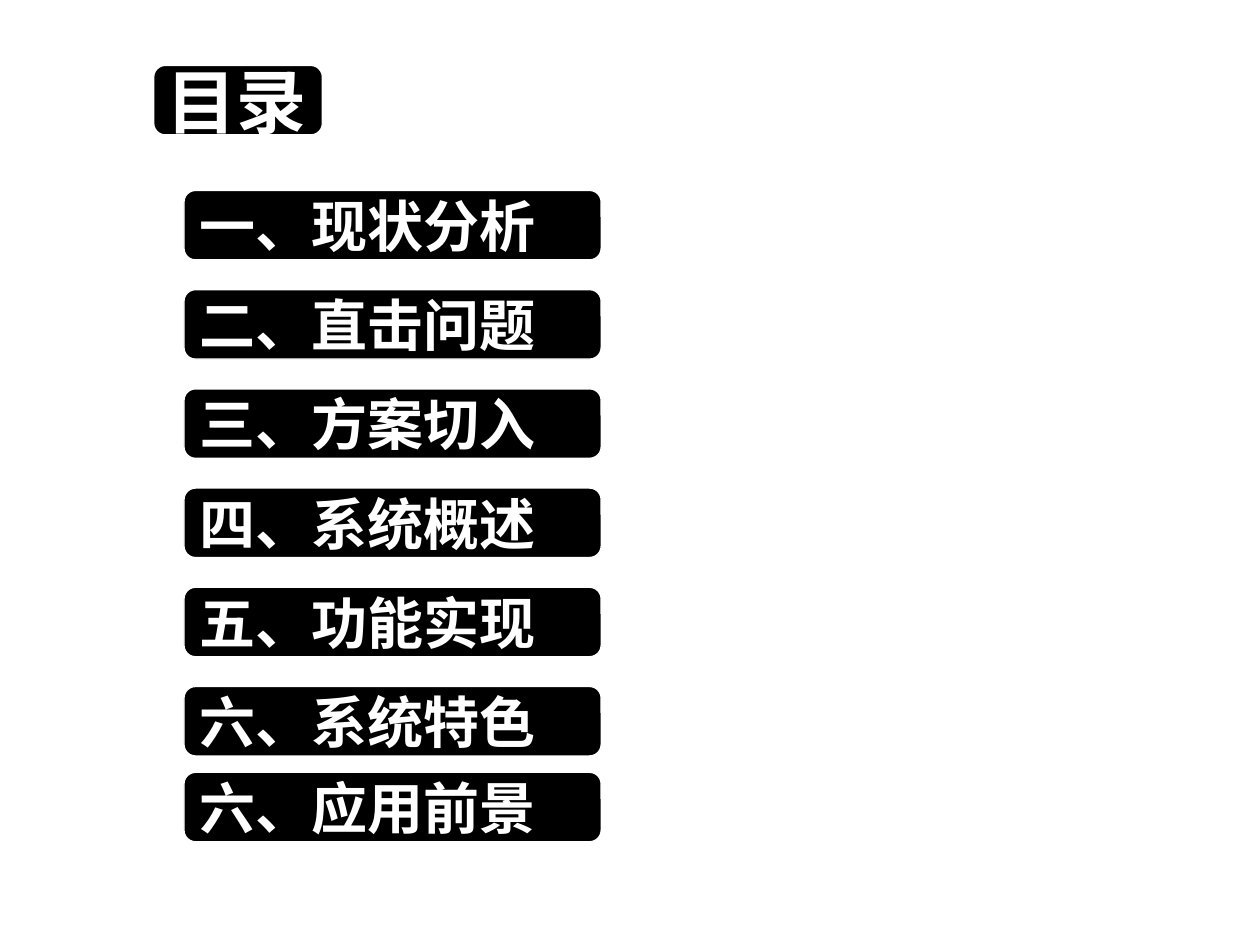
from dataclasses import dataclass

from lxml import etree
from pptx import Presentation
from pptx.dml.color import RGBColor
from pptx.enum import shapes, text
from pptx.oxml.ns import qn
from pptx.util import Cm, Pt

COLORS = {"pill": "000000", "text": "FFFFFF", "outline": "FFFFFF"}
PILL_HEIGHT = 1.4
FIRST_TOP, PITCH, LAST_TOP = 3.84, 2.0, 15.57
HANGING = 0.97
LATIN, CJK = "Arial", "Noto Sans CJK SC"


@dataclass
class Entry:
    label: str
    top: float
    font: str = CJK


def color(key: str) -> RGBColor:
    return RGBColor.from_string(COLORS[key])


def draw_pill(slide, left: float, top: float, width: float):
    pill = slide.shapes.add_shape(
        shapes.MSO_SHAPE.FLOWCHART_ALTERNATE_PROCESS,
        Cm(left), Cm(top), Cm(width), Cm(PILL_HEIGHT))
    pill.shadow.inherit = False
    pill.fill.solid()
    pill.fill.fore_color.rgb = color("pill")
    pill.line.color.rgb = color("outline")
    pill.line.width = Pt(0.75)
    return pill


def write(holder, label: str, *, size: float, font: str, hanging: float = 0) -> None:
    frame = holder.text_frame
    frame.word_wrap = True
    frame.auto_size = text.MSO_AUTO_SIZE.NONE
    frame.vertical_anchor = text.MSO_ANCHOR.MIDDLE
    frame.margin_left = frame.margin_right = Cm(0.25)
    frame.margin_top = frame.margin_bottom = Cm(0.13)
    paragraph = frame.paragraphs[0]
    paragraph.alignment = text.PP_ALIGN.LEFT
    if hanging:
        properties = paragraph._p.get_or_add_pPr()
        properties.set("marL", str(Cm(hanging)))
        properties.set("indent", str(-Cm(hanging)))
    run = paragraph.add_run()
    run.text = label
    run.font.size = Pt(size)
    run.font.bold = True
    run.font.color.rgb = color("text")
    run.font.name = font
    # East Asian characters take their own typeface
    etree.SubElement(run._r.get_or_add_rPr(), qn("a:ea")).set("typeface", font)


def draw_heading(slide, label: str) -> None:
    pill = draw_pill(slide, left=3.1, top=1.32, width=3.4)
    heading = slide.shapes.title
    heading.left, heading.top = pill.left, pill.top
    heading.width, heading.height = pill.width, pill.height
    # Bring the heading in front of its pill
    pill._element.addnext(heading._element)
    write(heading, label, size=40, font=LATIN)


def draw_entry(slide, entry: Entry) -> None:
    pill = draw_pill(slide, left=3.71, top=entry.top, width=8.41)
    write(pill, entry.label, size=32, font=entry.font, hanging=HANGING)


def main() -> None:
    deck = Presentation()
    deck.slide_width, deck.slide_height = Cm(25.4), Cm(19.05)
    contents = deck.slides.add_slide(deck.slide_layouts[5])

    # Heading
    draw_heading(contents, "目录")

    # Evenly spaced chapters, then the last one, set closer
    chapters = ["一、现状分析", "二、直击问题", "三、方案切入",
                "四、系统概述", "五、功能实现", "六、系统特色"]
    entries = [Entry(label, FIRST_TOP + row * PITCH)
               for row, label in enumerate(chapters)]
    entries[-1].font = LATIN
    entries.append(Entry("六、应用前景", LAST_TOP, LATIN))
    for entry in entries:
        draw_entry(contents, entry)

    deck.save("out.pptx")


if __name__ == "__main__":
    main()
